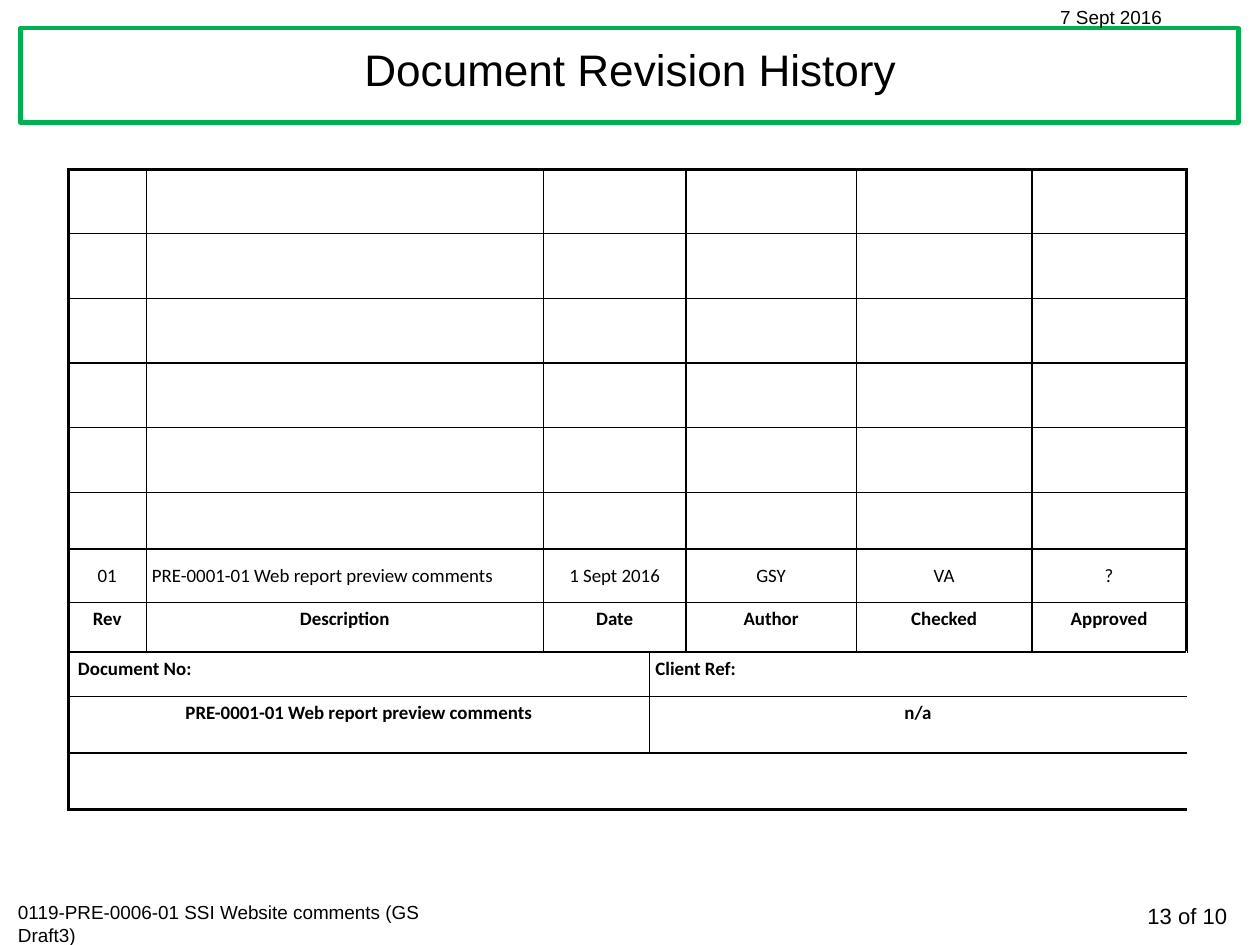
from dataclasses import dataclass
from typing import Any

from lxml import etree
from pptx import Presentation
from pptx import util as u
from pptx.dml.color import RGBColor
from pptx.enum import shapes, text
from pptx.oxml import ns

BLACK = RGBColor(0x00, 0x00, 0x00)
WHITE = RGBColor(0xFF, 0xFF, 0xFF)
GREEN = RGBColor(0x00, 0xB0, 0x50)
LEFT, CENTER, RIGHT = text.PP_ALIGN.LEFT, text.PP_ALIGN.CENTER, text.PP_ALIGN.RIGHT
TOP, MIDDLE = text.MSO_ANCHOR.TOP, text.MSO_ANCHOR.MIDDLE
INNER_LINE, OUTER_LINE = 1, 2.25
COLUMN_WIDTHS = (0.69, 3.5, 0.94, 0.32, 1.5, 1.55, 1.36)
ROW_HEIGHTS = (0.57,) * 5 + (0.5, 0.47, 0.44, 0.39, 0.5, 0.5)
CELL_MARGINS = dict.fromkeys(
    ("margin_left", "margin_top", "margin_right", "margin_bottom"), u.Inches(0.05)
)


@dataclass(frozen=True)
class Box:
    left: float
    top: float
    width: float
    height: float

    def lengths(self) -> list[u.Length]:
        return [u.Inches(n) for n in (self.left, self.top, self.width, self.height)]


@dataclass(frozen=True)
class Label:
    wording: str
    box: Box
    size: int = 12
    align: Any = LEFT


@dataclass(frozen=True)
class Entry:
    wording: str = ""
    span: int = 1
    align: Any = CENTER


@dataclass(frozen=True)
class Record:
    entries: tuple[Entry, ...]
    bold: bool = True
    anchor: Any = TOP


LABELS = (
    Label("13 of 10", Box(9.4, 7.91, 1.52, 0.34), 14, RIGHT),
    Label("0119-PRE-0006-01 SSI Website comments (GS Draft3)", Box(0.06, 7.89, 3.99, 0.5)),
    Label("7 Sept 2016", Box(9.25, 0, 1.68, 0.3)),
)
DOCUMENT = "PRE-0001-01 Web report preview comments"
UNUSED = Record((Entry(), Entry(), Entry(span=2), Entry(), Entry(), Entry()))
RECORDS = (UNUSED,) * 6 + (
    Record(
        (Entry("01"), Entry(DOCUMENT, align=LEFT), Entry("1 Sept 2016", 2),
         Entry("GSY"), Entry("VA"), Entry("?")),
        bold=False,
        anchor=MIDDLE,
    ),
    Record((Entry("Rev"), Entry("Description"), Entry("Date", 2),
            Entry("Author"), Entry("Checked"), Entry("Approved"))),
    Record((Entry(" Document No:", 3, LEFT), Entry("Client Ref:", 4, LEFT))),
    Record((Entry(DOCUMENT, 3), Entry("n/a", 4))),
    Record((Entry(span=7),)),
)


def apply(target: Any, values: dict[str, Any]) -> None:
    for name, value in values.items():
        setattr(target, name, value)


def write(frame: Any, wording: str, align: Any, size: int,
          font: str = "Arial", bold: bool = False) -> None:
    paragraph = frame.paragraphs[0]
    paragraph.alignment = align
    if wording:
        run = paragraph.add_run()
        run.text = wording
        apply(run.font, {"name": font, "size": u.Pt(size), "bold": bold})
        run.font.color.rgb = BLACK


def add_label(slide: Any, label: Label) -> None:
    frame = slide.shapes.add_textbox(*label.box.lengths()).text_frame
    frame.word_wrap = True
    write(frame, label.wording, label.align, label.size)


def add_heading(slide: Any) -> None:
    heading = slide.shapes.title
    apply(heading, dict(zip(("left", "top", "width", "height"),
                            Box(0.21, 0.25, 10.69, 0.78).lengths())))
    heading.text_frame.vertical_anchor = MIDDLE
    write(heading.text_frame, "Document Revision History", CENTER, 28)
    apply(heading.text_frame.paragraphs[0], {"line_spacing": 0.9, "space_before": u.Pt(10)})

    banner = slide.shapes.add_shape(
        shapes.MSO_SHAPE.RECTANGLE, *Box(0.18, 0.25, 10.74, 0.83).lengths()
    )
    banner.shadow.inherit = False
    banner.fill.solid()
    banner.fill.fore_color.rgb = WHITE
    banner.line.color.rgb = GREEN
    banner.line.width = u.Pt(2.75)
    heading._element.addprevious(banner._element)


def draw_borders(cell: Any, widths: dict[str, float]) -> None:
    properties = cell._tc.get_or_add_tcPr()
    for position, (side, points) in enumerate(widths.items()):
        edge = etree.Element(ns.qn(f"a:ln{side}"), w=str(u.Pt(points)))
        ink = etree.SubElement(edge, ns.qn("a:solidFill"))
        etree.SubElement(ink, ns.qn("a:srgbClr"), val=str(BLACK))
        properties.insert(position, edge)


def border_widths(row: int, first: bool, last: bool, column: int) -> dict[str, float]:
    def width(outer: bool) -> float:
        return OUTER_LINE if outer else INNER_LINE

    widths: dict[str, float] = {}
    if first:
        widths["L"] = width(column == 0)
    if last:
        widths["R"] = width(column == len(COLUMN_WIDTHS) - 1)
    widths["T"] = width(row == 0)
    widths["B"] = width(row == len(ROW_HEIGHTS) - 1)
    return widths


def add_history(slide: Any) -> None:
    history = slide.shapes.add_table(
        len(ROW_HEIGHTS), len(COLUMN_WIDTHS), *Box(0.6, 1.49, 9.86, 5.63).lengths()
    ).table
    apply(history, {"first_row": False, "horz_banding": False})
    for column, width in zip(history.columns, COLUMN_WIDTHS):
        column.width = u.Inches(width)
    for row, height in zip(history.rows, ROW_HEIGHTS):
        row.height = u.Inches(height)

    for r, record in enumerate(RECORDS):
        start = 0
        for entry in record.entries:
            end = start + entry.span - 1
            origin = history.cell(r, start)
            if entry.span > 1:
                origin.merge(history.cell(r, end))
            apply(origin, CELL_MARGINS | {"vertical_anchor": record.anchor})
            write(origin.text_frame, entry.wording, entry.align, 12, "Calibri", record.bold)
            for c in range(start, end + 1):
                cell = history.cell(r, c)
                cell.fill.background()
                draw_borders(cell, border_widths(r, c == start, c == end, c))
            start = end + 1


def main() -> None:
    deck = Presentation()
    apply(deck, {"slide_width": u.Inches(11.11), "slide_height": u.Inches(8.33)})
    slide = deck.slides.add_slide(deck.slide_layouts.get_by_name("Title Only"))
    add_heading(slide)
    for label in LABELS:
        add_label(slide, label)
    add_history(slide)
    deck.save("out.pptx")


if __name__ == "__main__":
    main()
